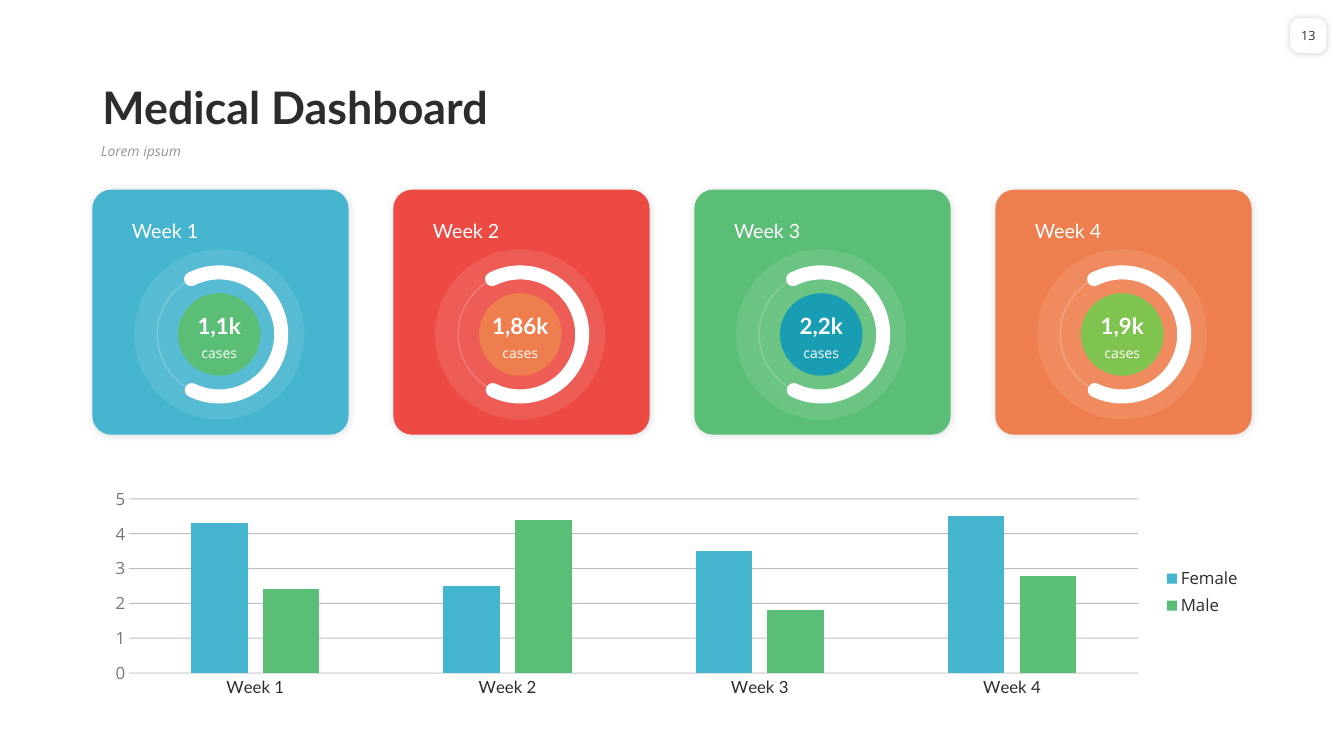
from lxml import etree
from pptx import Presentation
from pptx.chart.data import CategoryChartData
from pptx.dml.color import RGBColor
from pptx.enum import chart as charts, shapes, text
from pptx.oxml import ns
from pptx.util import Pt

HUES = {
    "white": "FFFFFF", "ink": "2C2C2C", "grey": "969696", "axis": "767676",
    "rule": "DFDFDF", "black": "000000", "blue": "45B5CF", "red": "ED4A43",
    "green": "5BBE77", "orange": "EE7E4D", "teal": "199DB3", "lime": "7EC44E",
}
HEAD, BODY = "Lato", "Open Sans"
KINDS = shapes.MSO_SHAPE
MID = text.PP_ALIGN.CENTER
LEFT = text.PP_ALIGN.LEFT
BASE = text.MSO_ANCHOR.BOTTOM
WEEKS = [
    ("Week 1", "1,1k", "blue", "green"),
    ("Week 2", "1,86k", "red", "orange"),
    ("Week 3", "2,2k", "green", "teal"),
    ("Week 4", "1,9k", "orange", "lime"),
]
CASES = {
    "Female": ("blue", (4.3, 2.5, 3.5, 4.5)),
    "Male": ("green", (2.4, 4.4, 1.8, 2.8)),
}


def hue(name):
    return RGBColor.from_string(HUES[name])


def sub(node, tag, **attrs):
    return etree.SubElement(node, ns.qn(tag), {k: str(v) for k, v in attrs.items()})


def fade(node, alpha):
    sub(node, "a:alpha", val=alpha * 1000)


class Board:
    """Draws styled elements on one slide, with lengths in points."""

    def __init__(self, deck):
        self.slide = deck.slides.add_slide(deck.slide_layouts[5])
        self.shapes = self.slide.shapes

    def style(self, font, size, color, face=BODY, bold=False, italic=False):
        font.size, font.name = Pt(size), face
        font.bold, font.italic = bold, italic
        font.color.rgb = hue(color)

    def fill_text(self, frame, words, align=LEFT, space=None, **font):
        frame.text = words
        para = frame.paragraphs[0]
        para.alignment = align
        para.line_spacing = space
        self.style(para.font, **font)

    def title(self, words, box):
        shape = self.shapes.title
        shape.left, shape.top, shape.width, shape.height = map(Pt, box)
        frame = shape.text_frame
        frame.vertical_anchor = BASE
        self.fill_text(frame, words, space=0.9, size=32, color="ink", face=HEAD, bold=True)

    def label(self, words, box, anchor=text.MSO_ANCHOR.TOP, grow=True, **look):
        frame = self.shapes.add_textbox(*map(Pt, box)).text_frame
        frame.word_wrap = True
        frame.vertical_anchor = anchor
        if grow:
            frame.auto_size = text.MSO_AUTO_SIZE.SHAPE_TO_FIT_TEXT
        self.fill_text(frame, words, **look)

    def shape(self, kind, box, fill=None, line=None, width=1, alpha=None, adj=()):
        item = self.shapes.add_shape(kind, *map(Pt, box))
        item.shadow.inherit = False
        for i, value in enumerate(adj):
            item.adjustments[i] = value
        if fill:
            item.fill.solid()
            item.fill.fore_color.rgb = hue(fill)
        else:
            item.fill.background()
        if line:
            item.line.color.rgb = hue(line)
            item.line.width = Pt(width)
        else:
            item.line.fill.background()
        if alpha:
            fade(item.element.spPr.find(".//" + ns.qn("a:srgbClr")), alpha)
        return item

    def shade(self, item, alpha, blur, dist):
        effects = item.element.spPr.find(ns.qn("a:effectLst"))
        outer = sub(effects, "a:outerShdw", blurRad=Pt(blur), dist=Pt(dist),
                    dir=45 * 60000, algn="ctr", rotWithShape=0)
        fade(sub(outer, "a:srgbClr", val=HUES["black"]), alpha)

    def round(self, mid, size):
        return mid[0] - size / 2, mid[1] - size / 2, size, size

    def disc(self, mid, size, **look):
        return self.shape(KINDS.OVAL, self.round(mid, size), **look)

    def card(self, left, week, count, fill, core):
        top, mid = 135.5, (left + 90.6, 238.9)
        base = self.shape(KINDS.ROUNDED_RECTANGLE, (left, top, 183, 175), fill, adj=[0.077])
        self.shade(base, 15, 6, 1)
        self.disc(mid, 121.6, fill="white", alpha=10)
        self.disc(mid, 88.6, line="white", alpha=20)
        arc = self.shape(KINDS.ARC, self.round(mid, 88.6), line="white", width=10,
                         adj=[145.849, 69.712])
        arc.element.spPr.find(ns.qn("a:ln")).set("cap", "rnd")
        self.disc(mid, 59, fill=core)
        edge = mid[0] - 29.5
        self.label(count, (edge, 219, 59, 26.6), BASE, align=MID, size=16,
                   color="white", face=HEAD, bold=True)
        self.label("cases", (edge, 242.6, 59, 19.4), align=MID, size=10, color="white")
        self.label(week, (left + 21.2, 152.6, 140, 24.5), size=14, color="white", face=HEAD)

    def badge(self, words, box):
        item = self.shape(KINDS.ROUNDED_RECTANGLE, box, "white", adj=[0.267])
        self.shade(item, 20, 5, 0)
        frame = item.text_frame
        frame.margin_left = frame.margin_right = 0
        frame.word_wrap = False
        frame.vertical_anchor = text.MSO_ANCHOR.MIDDLE
        self.fill_text(frame, words, align=MID, size=9, color="ink")

    def chart(self, box):
        data = CategoryChartData()
        data.categories = [week[0] for week in WEEKS]
        for name, (_, values) in CASES.items():
            data.add_series(name, values)
        kind = charts.XL_CHART_TYPE.COLUMN_CLUSTERED
        chart = self.shapes.add_chart(kind, *map(Pt, box), data).chart
        self.style(chart.font, 10, "ink")
        chart.has_title = False
        chart.has_legend = True
        chart.legend.position = charts.XL_LEGEND_POSITION.RIGHT
        chart.legend.include_in_layout = False
        self.style(chart.legend.font, 12, "ink")
        plot = chart.plots[0]
        plot.gap_width, plot.overlap = 219, -27
        plot.vary_by_categories = False
        for series, (color, _) in zip(plot.series, CASES.values()):
            series.format.fill.solid()
            series.format.fill.fore_color.rgb = hue(color)
            series.invert_if_negative = False
        cats, vals = chart.category_axis, chart.value_axis
        for axis, color, face in ((cats, "ink", HEAD), (vals, "axis", BODY)):
            axis.major_tick_mark = axis.minor_tick_mark = charts.XL_TICK_MARK.NONE
            self.style(axis.tick_labels.font, 12, color, face)
        cats.format.line.color.rgb = hue("rule")
        cats.format.line.width = Pt(0.75)
        vals.format.line.fill.background()
        vals.minimum_scale, vals.maximum_scale, vals.major_unit = 0, 5, 1
        grid = vals.major_gridlines.format.line
        grid.color.rgb = hue("ink")
        grid.width = Pt(0.75)
        fade(chart.element.xpath(".//c:majorGridlines//a:srgbClr")[0], 30)


def main():
    deck = Presentation()
    deck.slide_width, deck.slide_height = Pt(960), Pt(540)
    board = Board(deck)
    board.title("Medical Dashboard", (66, 42, 828, 57.6))
    board.label("Lorem ipsum", (65, 99.4, 829, 26), grow=False, space=0.9,
                size=10, color="grey", italic=True)
    board.badge("13", (921.6, 13, 26, 25))
    for i, week in enumerate(WEEKS):
        board.card(66 + 215 * i, *week)
    board.chart((66, 345, 828, 156))
    deck.save("out.pptx")


if __name__ == "__main__":
    main()
